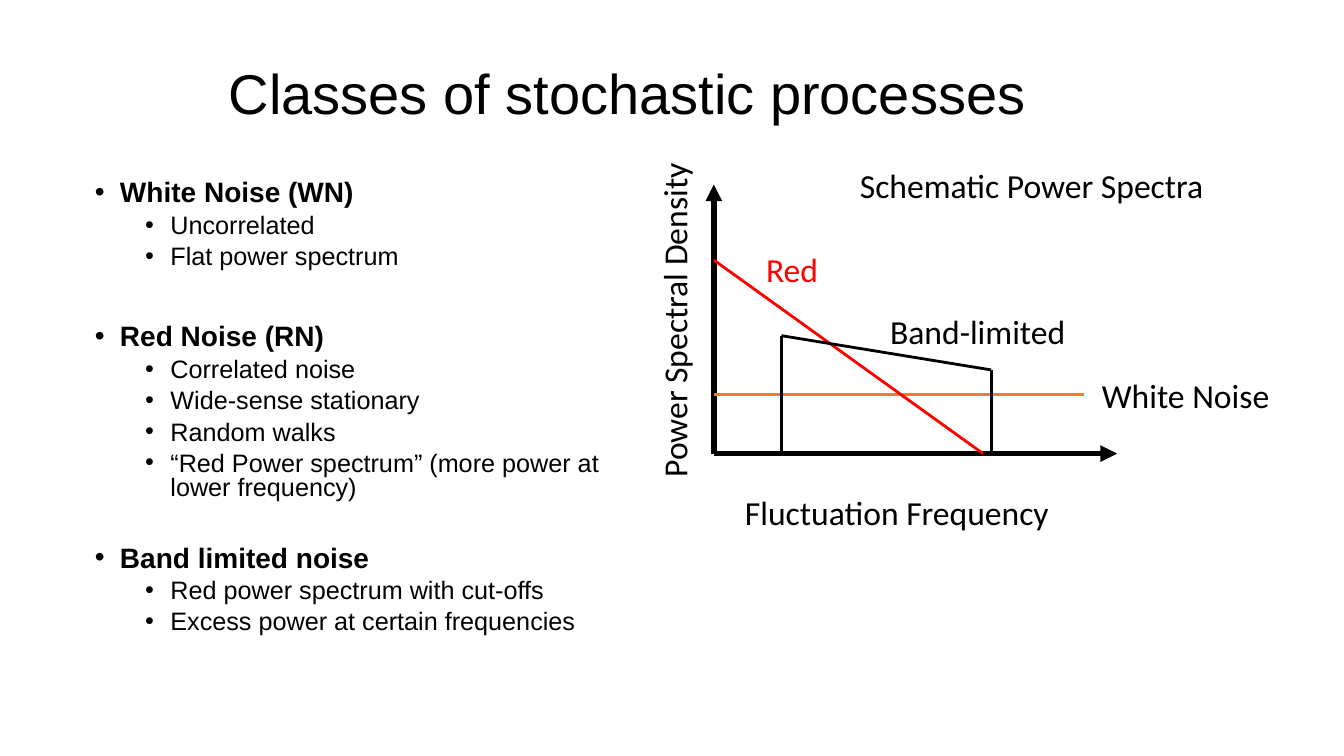
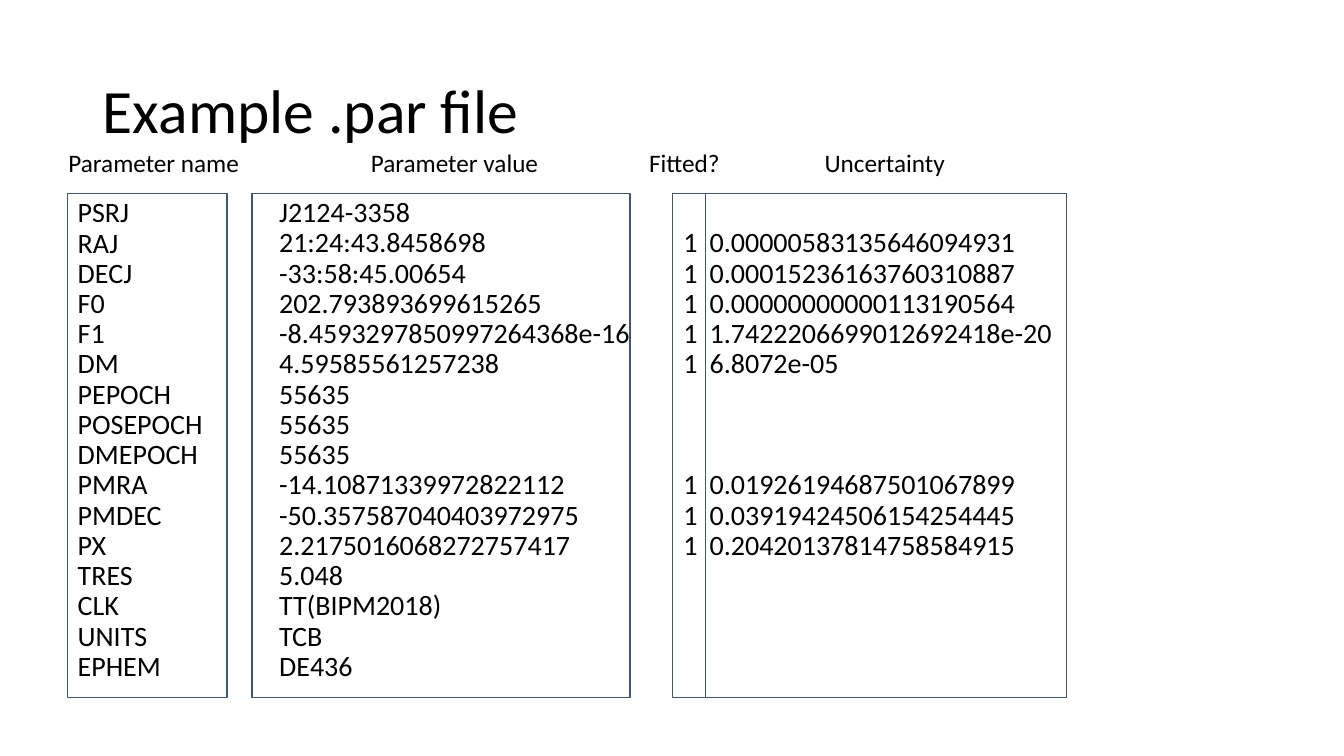
from lxml.etree import SubElement
from pptx import Presentation
from pptx.dml.color import RGBColor
from pptx.enum.shapes import MSO_CONNECTOR, MSO_SHAPE
from pptx.enum.text import MSO_ANCHOR, MSO_AUTO_SIZE, PP_ALIGN
from pptx.oxml.ns import qn
from pptx.util import Inches, Pt

BLACK = RGBColor(0x00, 0x00, 0x00)
RED = RGBColor(0xFF, 0x00, 0x00)
ORANGE = RGBColor(0xED, 0x7D, 0x31)
SLATE = RGBColor(0x44, 0x54, 0x6A)
ROW_POINTS = 21.6

NOISE_CLASSES = [
    ("White Noise (WN)", 0, ["Uncorrelated", "Flat power spectrum"]),
    ("Red Noise (RN)", 39.1, [
        "Correlated noise", "Wide-sense stationary", "Random walks",
        "“Red Power spectrum” (more power at lower frequency)"]),
    ("Band limited noise", 32.3, [
        "Red power spectrum with cut-offs",
        "Excess power at certain frequencies"]),
]

PARAMETERS = [
    ("PSRJ", "J2124-3358"),
    ("RAJ", "21:24:43.8458698", "1", "0.00000583135646094931"),
    ("DECJ", "-33:58:45.00654", "1", "0.00015236163760310887"),
    ("F0", "202.793893699615265", "1", "0.00000000000113190564"),
    ("F1", "-8.4593297850997264368e-16", "1", "1.7422206699012692418e-20"),
    ("DM", "4.59585561257238", "1", "6.8072e-05"),
    ("PEPOCH", "55635"),
    ("POSEPOCH", "55635"),
    ("DMEPOCH", "55635"),
    ("PMRA", "-14.10871339972822112", "1", "0.01926194687501067899"),
    ("PMDEC", "-50.357587040403972975", "1", "0.03919424506154254445"),
    ("PX", "2.2175016068272757417", "1", "0.20420137814758584915"),
    ("TRES", "5.048"),
    ("CLK", "TT(BIPM2018)"),
    ("UNITS", "TCB"),
    ("EPHEM", "DE436"),
]


def add_text(para, text, size, font, color=BLACK, bold=False):
    span = para.add_run()
    span.text = text
    span.font.size = Pt(size)
    span.font.name = font
    span.font.bold = bold
    span.font.color.rgb = color


def place(shape, left, top, width, height):
    shape.left, shape.top = Inches(left), Inches(top)
    shape.width, shape.height = Inches(width), Inches(height)


def next_paragraph(frame):
    first = frame.paragraphs[0]
    return frame.add_paragraph() if first.runs else first


def format_paragraph(para, spacing, before, indent=0, bullet=None):
    properties = para._p.get_or_add_pPr()
    hanging = 0.25 if bullet else 0
    properties.set("marL", str(Inches(indent)))
    properties.set("indent", str(-Inches(hanging)))
    if bullet:
        SubElement(properties, qn("a:buFont"), typeface="Arial")
        SubElement(properties, qn("a:buChar"), char=bullet)
    else:
        SubElement(properties, qn("a:buNone"))
    para.alignment = PP_ALIGN.LEFT
    para.line_spacing = spacing
    para.space_before = Pt(before)
    para.space_after = Pt(0)


def add_page(deck, title, size, font, box):
    page = deck.slides.add_slide(deck.slide_layouts[1])
    place(page.shapes.title, *box)
    frame = page.shapes.title.text_frame
    frame.auto_size = MSO_AUTO_SIZE.NONE
    frame.vertical_anchor = MSO_ANCHOR.MIDDLE
    para = frame.paragraphs[0]
    para.alignment = PP_ALIGN.LEFT
    para.line_spacing = 0.9
    add_text(para, title, size, font)
    return page


def open_body(page, *box):
    body = page.placeholders[1]
    place(body, *box)
    body.text_frame.auto_size = MSO_AUTO_SIZE.NONE
    body.text_frame.vertical_anchor = MSO_ANCHOR.TOP
    return body.text_frame


def add_label(page, text, left, top, width, size, color=BLACK, height=0.5, rotation=0):
    box = page.shapes.add_textbox(
        Inches(left), Inches(top), Inches(width), Inches(height))
    box.rotation = rotation
    box.text_frame.word_wrap = bool(rotation)
    box.text_frame.auto_size = MSO_AUTO_SIZE.SHAPE_TO_FIT_TEXT
    add_text(box.text_frame.paragraphs[0], text, size, "Calibri", color)


def add_line(page, start, end, color=BLACK, width=2, arrow=False):
    line = page.shapes.add_connector(
        MSO_CONNECTOR.STRAIGHT, *(Inches(value) for value in (*start, *end)))
    line.line.color.rgb = color
    line.line.width = Pt(width)
    if arrow:
        SubElement(line.line._get_or_add_ln(), qn("a:tailEnd"), type="triangle")
    SubElement(line._element.spPr, qn("a:effectLst"))


def add_noise_list(page, left, top, width, height):
    frame = open_body(page, left, top, width, height)
    for heading, before, points in NOISE_CLASSES:
        para = next_paragraph(frame)
        format_paragraph(para, 0.8, before, 0.25, "•")
        add_text(para, heading, 20, "Arial", bold=True)
        for point in points:
            para = next_paragraph(frame)
            para.level = 1
            format_paragraph(para, 0.8, 5, 0.75, "•")
            add_text(para, point, 18, "Arial")


def add_spectrum(page, left, top, width, height):
    bottom = top + height

    def at(across, up):
        return left + across, bottom - up

    add_line(page, at(0, 0), at(0, height), width=4, arrow=True)
    add_line(page, at(0, 0), at(width, 0), width=4, arrow=True)
    add_line(page, at(0, 0.59), at(3.67, 0.59), ORANGE)
    add_line(page, at(0, 1.92), at(2.67, 0), RED)
    band = [at(0.67, 0), at(0.67, 1.17), at(2.75, 0.83), at(2.75, 0)]
    for start, end in zip(band, band[1:]):
        add_line(page, start, end)
    labels = [
        ("White Noise", 3.75, 0.83, 1.89, BLACK),
        ("Red", 0.42, 2.08, 0.74, RED),
        ("Fluctuation Frequency", 0.21, -0.33, 3.24, BLACK),
        ("Band-limited", 1.65, 1.46, 1.98, BLACK),
        ("Schematic Power Spectra", 1.35, 2.91, 3.64, BLACK),
    ]
    for text, across, up, label_width, color in labels:
        add_label(page, text, *at(across, up), label_width, 24, color)
    add_label(page, "Power Spectral Density", *at(-2.19, 1.71), 3.59, 24, rotation=270)


def fill_column(frame, field):
    rows = [row for row, fields in enumerate(PARAMETERS) if field < len(fields)]
    previous = rows[0] - 1
    for row in rows:
        para = next_paragraph(frame)
        format_paragraph(para, 0.9, (row - previous - 1) * ROW_POINTS)
        add_text(para, PARAMETERS[row][field], 20, "Calibri")
        previous = row


def add_parameter_listing(page, left, top, height):
    fill_column(open_body(page, left, top, 1.58, height), 0)
    columns = [
        (1, 2, 0, 3.7),
        (2, 6.01, 1, 0.33),
        (3, 6.27, 1, 3.6),
    ]
    for field, offset, first_row, width in columns:
        drop = first_row * ROW_POINTS / 72
        box = page.shapes.add_textbox(
            Inches(left + offset), Inches(top + drop),
            Inches(width), Inches(height - drop))
        box.text_frame.word_wrap = False
        box.text_frame.auto_size = MSO_AUTO_SIZE.NONE
        fill_column(box.text_frame, field)


def add_column_frames(page, left, top, height):
    columns = [
        ("Parameter name", 0, 1.58, -0.09, 1.91),
        ("Parameter value", 1.83, 3.75, 2.91, 1.88),
        ("Fitted?", 6, 0.33, 5.67, 0.91),
        ("Uncertainty", 6.33, 3.58, 7.41, 1.41),
    ]
    for heading, offset, width, label_offset, label_width in columns:
        outline = page.shapes.add_shape(
            MSO_SHAPE.RECTANGLE, Inches(left + offset), Inches(top),
            Inches(width), Inches(height))
        outline.shadow.inherit = False
        outline.fill.background()
        outline.line.color.rgb = SLATE
        outline.line.width = Pt(1)
        add_label(page, heading, left + label_offset, top - 0.51,
                  label_width, 18, height=0.4)


def build_noise_page(deck):
    page = add_page(deck, "Classes of stochastic processes", 40, "Arial",
                    (2.17, 0.33, 9.5, 1.25))
    add_noise_list(page, 0.84, 1.75, 5.78, 4.95)
    add_spectrum(page, 7.08, 1.83, 4, 2.67)


def build_parameter_page(deck):
    page = add_page(deck, "Example .par file", 44, "Calibri",
                    (0.92, 0.4, 11.5, 1.45))
    add_parameter_listing(page, 0.67, 1.92, 5.25)
    add_column_frames(page, 0.67, 1.92, 5)


def main():
    deck = Presentation()
    deck.slide_width, deck.slide_height = Inches(13.33), Inches(7.5)
    build_noise_page(deck)
    build_parameter_page(deck)
    deck.save("out.pptx")


if __name__ == "__main__":
    main()
